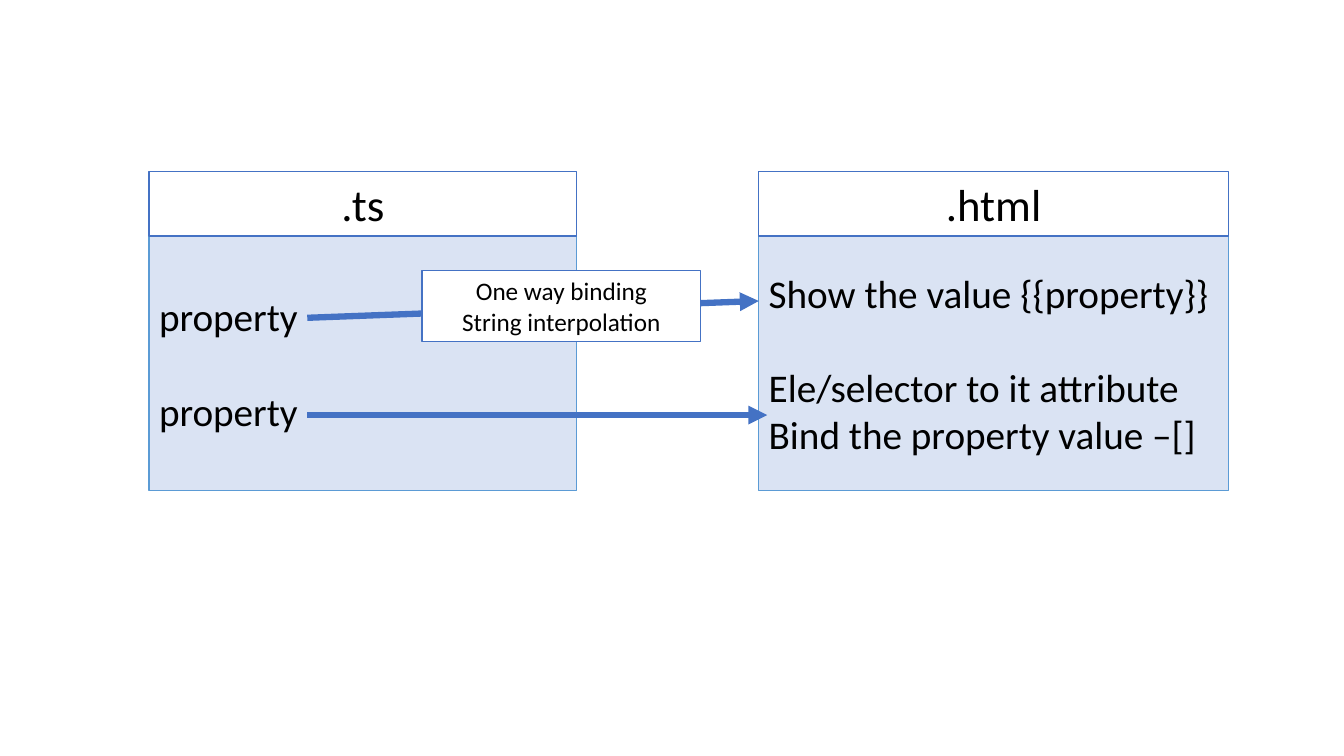
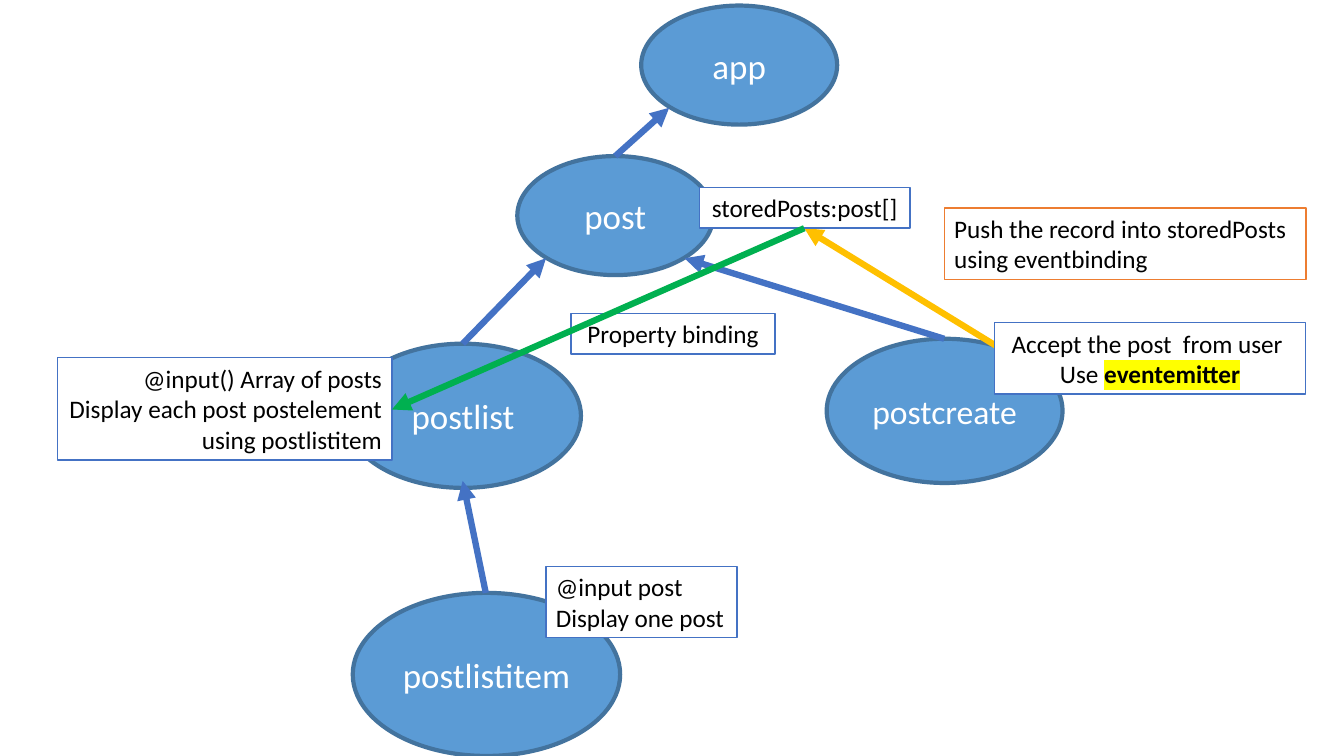
"""Build two slides on data binding and a component tree."""
from lxml.etree import SubElement
from pptx import Presentation
from pptx.dml.color import RGBColor
from pptx.enum.shapes import MSO_CONNECTOR, MSO_SHAPE
from pptx.enum.text import MSO_ANCHOR, PP_ALIGN
from pptx.oxml import parse_xml
from pptx.oxml.ns import nsdecls, qn
from pptx.util import Pt

BLUE, GOLD, GREEN, ORANGE = "4472C4", "FFC000", "00B050", "ED7D31"
SKY, DARK_SKY, PALE = "5B9BD5", "43739E", "DAE3F3"
WHITE, BLACK, YELLOW = "FFFFFF", "000000", "FFFF00"
LEFT, CENTER, RIGHT = PP_ALIGN.LEFT, PP_ALIGN.CENTER, PP_ALIGN.RIGHT
FRAME_FORMAT = {"word_wrap": True, "vertical_anchor": MSO_ANCHOR.MIDDLE}


def add_box(page, place, lines, size, align=CENTER, fill=WHITE, line=BLUE,
            width=1, color=BLACK, kind=MSO_SHAPE.RECTANGLE, gap=0):
    """Add a shape with one paragraph per line and a gap after the first."""
    box = page.shapes.add_shape(kind, *map(Pt, place))
    box.shadow.inherit = False
    box.fill.solid()
    box.fill.fore_color.rgb = RGBColor.from_string(fill)
    box.line.color.rgb = RGBColor.from_string(line)
    box.line.width = Pt(width)
    frame = box.text_frame
    for name, value in FRAME_FORMAT.items():
        setattr(frame, name, value)
    for index, text in enumerate(lines):
        para = frame.add_paragraph() if index else frame.paragraphs[0]
        para.alignment = align
        para.space_after = Pt(0 if index else gap)
        for part, words in enumerate(text.split("|")):
            span = para.add_run()
            span.text = words
            span_format = {"name": "Calibri", "size": Pt(size), "bold": part == 1}
            for name, value in span_format.items():
                setattr(span.font, name, value)
            span.font.color.rgb = RGBColor.from_string(color)
            if part == 1:
                span.font.fill._xPr.find(qn("a:solidFill")).addnext(parse_xml(
                    f'<a:highlight {nsdecls("a")}><a:srgbClr val="{YELLOW}"/></a:highlight>'))


def add_arrow(page, points, color=BLUE):
    """Add a thick straight arrow that points at its second end."""
    arrow = page.shapes.add_connector(MSO_CONNECTOR.STRAIGHT, *map(Pt, points))
    arrow.line.color.rgb = RGBColor.from_string(color)
    arrow.line.width = Pt(4.5)
    SubElement(arrow.line._get_or_add_ln(), qn("a:tailEnd"), type="triangle")
    SubElement(arrow._element.spPr, qn("a:effectLst"))


deck = Presentation()
deck.slide_width, deck.slide_height = Pt(960), Pt(540)
binding, tree = [deck.slides.add_slide(deck.slide_layouts[6]) for _ in range(2)]

TOP, HEAD, BODY = 122.5, 46, 182
panels = [
    (106.5, 305.5, ".ts", ["property", "property"]),
    (542, 335.5, ".html", ["Show the value {{property}}",
                           "Ele/selector to it attribute",
                           "Bind the property value –[]"]),
]
for left, width, title, lines in panels:
    add_box(binding, (left, TOP + HEAD, width, BODY), lines, 28, LEFT,
            PALE, SKY, gap=34)
    add_box(binding, (left, TOP, width, HEAD), [title], 32)
for points in [(219.5, 227, 542, 215), (219.5, 296.5, 548, 296.5)]:
    add_arrow(binding, points)
add_box(binding, (301.5, 193, 199, 51), ["One way binding", "String interpolation"], 18)

components = [
    ("app", 458, 4, 140, 85, 25),
    ("post", 369.5, 111.5, 140, 85, 25),
    ("postlist", 246.5, 245.5, 168.5, 103, 25),
    ("postcreate", 590.5, 242, 168.5, 103, 24),
    ("postlistitem", 252, 423.5, 191, 116.5, 25),
]
for name, *place, size in components:
    add_box(tree, place, [name], size, CENTER, SKY, DARK_SKY, 3, WHITE, MSO_SHAPE.OVAL)

links = [
    (330.5, 245.5, 390, 184.5),
    (439.5, 111.5, 478, 77),
    (347, 423.5, 330.5, 343.5),
    (674.5, 242, 489, 184.5),
]
for points in links:
    add_arrow(tree, points)
add_arrow(tree, (731, 259, 574.5, 163), GOLD)

notes = [
    ((674.5, 148.5, 258.5, 51), LEFT, ORANGE,
     ["Push the record into storedPosts", "using eventbinding"]),
    ((390, 404.5, 136.5, 51), LEFT, BLUE, ["@input post", "Display one post"]),
    ((41, 255.5, 239, 73), RIGHT, BLUE,
     ["@input() Array of posts", "Display each post postelement using postlistitem"]),
    ((408, 224, 145.5, 29), CENTER, BLUE, ["Property binding"]),
    ((710.5, 230.5, 222, 51), CENTER, BLUE,
     ["Accept the post  from user ", "Use |eventemitter"]),
    ((499.5, 134, 150.5, 29), CENTER, BLUE, ["storedPosts:post[]"]),
]
for place, align, line, lines in notes:
    add_box(tree, place, lines, 18, align, line=line)
add_arrow(tree, (574.5, 163, 280, 292.5), GREEN)

deck.save("out.pptx")
